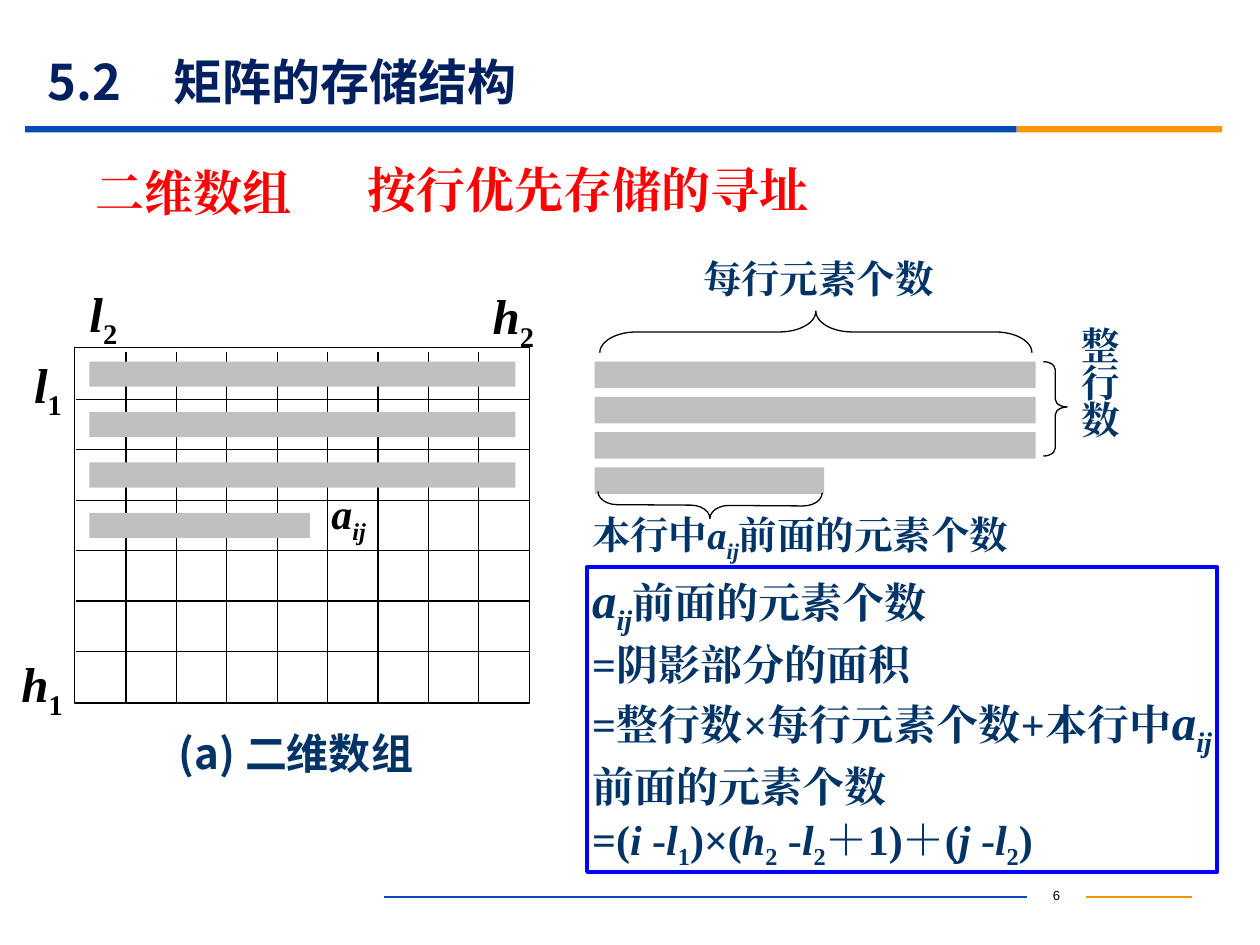
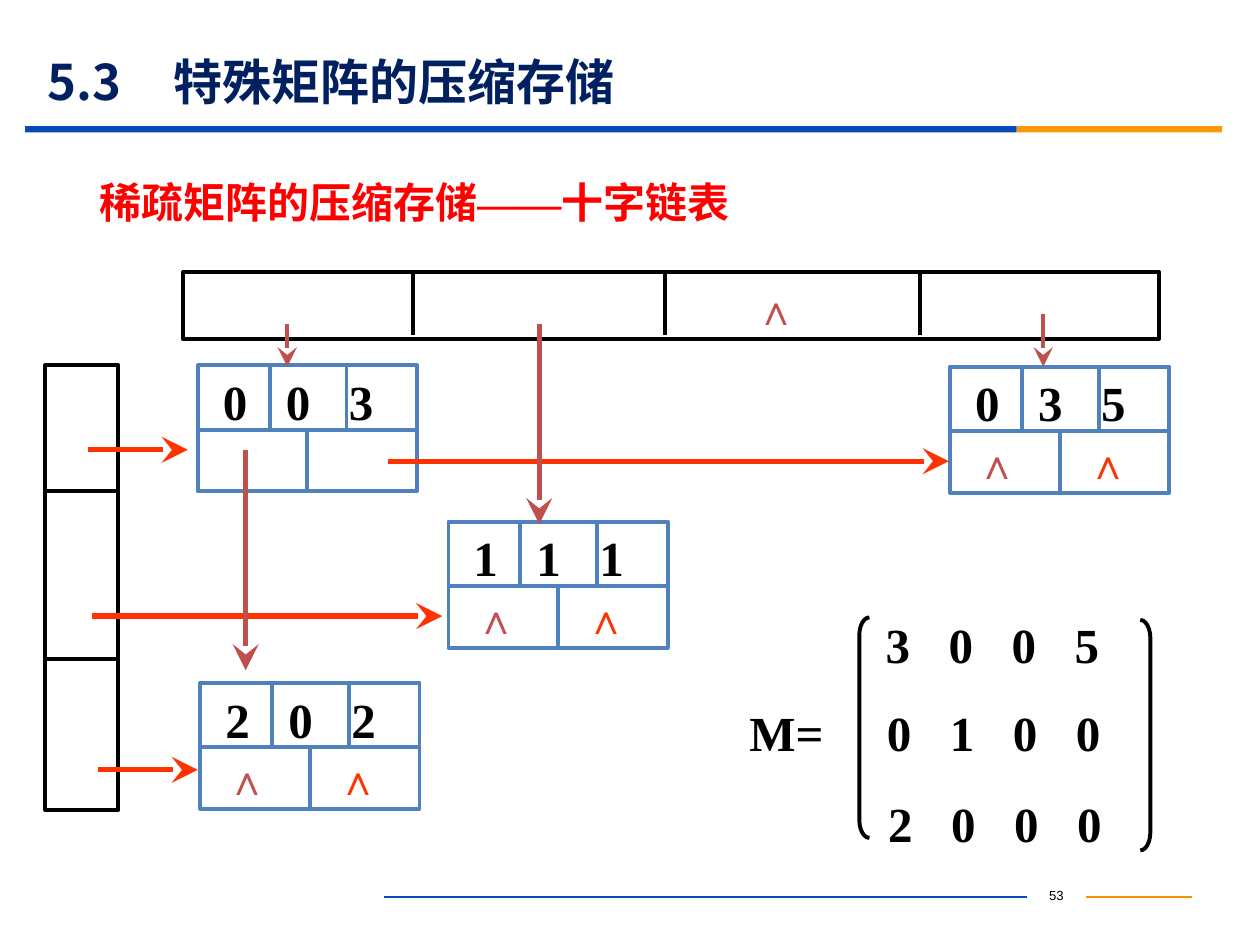
"""Build two slides on array addressing and cross-linked sparse matrices."""
from lxml import etree
from pptx import Presentation
from pptx.dml.color import RGBColor
from pptx.enum.shapes import MSO_CONNECTOR, MSO_SHAPE
from pptx.enum.text import MSO_ANCHOR, MSO_AUTO_SIZE, PP_ALIGN
from pptx.oxml.ns import qn
from pptx.util import Pt

PX = 9144
RECT = MSO_SHAPE.RECTANGLE
LEFT, MID, JUST = PP_ALIGN.LEFT, PP_ALIGN.CENTER, PP_ALIGN.JUSTIFY
LBRACE, RBRACE = MSO_SHAPE.LEFT_BRACE, MSO_SHAPE.RIGHT_BRACE
LBRACK, RBRACK = MSO_SHAPE.LEFT_BRACKET, MSO_SHAPE.RIGHT_BRACKET


class Theme:
    sans, serif = "Noto Sans CJK SC", "Times New Roman"
    small = "Arial"
    black, white, gray = "000000", "FFFFFF", "C0C0C0"
    title, head, body = "002060", "FF0000", "003366"
    band, amber, thin = "064BB2", "FB9708", "F19500"
    frame, cell = "0000FF", "4F81BD"
    row, col = "FF3300", "C0504D"
    big, mid, note, tiny = 28, 24, 22, 7.5
    hair, bold, arrow = 0.75, 2.25, 3


T = Theme

AIJ = [("a", "i"), ("ij", "is")]
BIG = [("a", "iL"), ("ij", "isL")]
REST = [("前面的元素个数", "")]
PROOF = [
    BIG + REST,
    [("=阴影部分的面积", "")],
    [("=整行数×每行元素个数+本行中", "")] + BIG + REST,
    [("=(", ""), ("i", "i"), (" -", ""), ("l", "i"), ("1", "s"),
     (")×(", ""), ("h", "i"), ("2", "s"), (" -", ""), ("l", "i"), ("2", "s"),
     ("＋1)＋(", ""), ("j", "i"), (" -", ""), ("l", "i"), ("2", "s"), (")", "")],
]
BOUNDS = [("l", "2", 71, 225, 25), ("h", "2", 391, 227, 42),
          ("l", "1", 27, 281, 25), ("h", "1", 17, 519, 42)]
BRACES = [
    (RBRACE, (828, 287, 19, 75), (0.33, 0.48), 0, T.hair),
    (LBRACE, (631, 92, 33, 343), (0.88, 0.5), 90, T.hair),
    (LBRACE, (553, 312, 21, 178), (0.72, 0.5), 270.4, T.hair),
]
BRACKS = [
    (LBRACK, (682, 490, 8, 175), (1.75,), 0, T.bold),
    (RBRACK, (905, 492, 8, 183), (1.83,), 0, T.bold),
]
NODES = [(159, 542, "202", True), (157, 290, "003", False),
         (754, 291, "035", True), (356, 414, "111", True)]
MATRIX = [(693, 483, "3005"), (694, 553, "0100"), (695, 625, "2000")]
ARROWS = [
    ((78, 611, 157, 611), T.row, T.arrow),
    ((70, 357, 149, 357), T.row, T.arrow),
    ((308, 366, 753, 366), T.row, T.arrow),
    ((73, 489, 351, 489), T.row, T.arrow),
    ((828, 249, 828, 291), T.col, T.bold),
    ((428, 257, 428, 416), T.col, T.arrow),
    ((228, 257, 228, 291), T.col, T.bold),
    ((195, 357, 195, 532), T.col, T.arrow),
]


def emu(nums):
    return [round(n * PX) for n in nums]


def apply(obj, vals):
    for key, val in vals.items():
        setattr(obj, key, val)


def write(shape, paras, size, color, font=T.serif, ins=(10, 5), align=LEFT,
          gap=None, tabs=(), pad=0, bold=True, anchor=MSO_ANCHOR.TOP):
    frame = shape.text_frame
    side, top = emu(ins)
    apply(frame, dict(word_wrap=True, auto_size=MSO_AUTO_SIZE.NONE,
                      margin_left=side, margin_right=side, margin_top=top,
                      margin_bottom=top, vertical_anchor=anchor))
    if isinstance(paras, str):
        paras = [[(paras, "")]]
    for i, runs in enumerate(paras):
        para = frame.add_paragraph() if i else frame.paragraphs[0]
        apply(para, dict(alignment=align, line_spacing=gap))
        if tabs:
            props = para._p.get_or_add_pPr()
            props.set("marL", str(pad * PX))
            props.set("indent", "0")
            stops = etree.SubElement(props, qn("a:tabLst"))
            for pos in tabs:
                etree.SubElement(stops, qn("a:tab"), pos=str(pos * PX), algn="l")
        for words, flags in runs:
            run = para.add_run()
            run.text = words
            face = T.sans if "C" in flags else font
            apply(run.font, dict(name=face, bold=bold, italic="i" in flags,
                                 size=Pt(T.big if "L" in flags else size)))
            run.font.color.rgb = RGBColor.from_string(color)
            props = run._r.get_or_add_rPr()
            etree.SubElement(props, qn("a:ea"), typeface=face)
            if "s" in flags:
                props.set("baseline", "-25000")


def label(slide, at, paras, size, color, **fmt):
    write(slide.shapes.add_textbox(*emu(at)), paras, size, color, **fmt)


def shape(slide, at, kind=RECT, fill=None, line=None, width=T.hair, adj=(), turn=0):
    item = slide.shapes.add_shape(kind, *emu(at))
    item.shadow.inherit = False
    item.rotation = turn
    for i, val in enumerate(adj):
        item.adjustments[i] = val
    for part, color in ((item.fill, fill), (item.line.fill, line)):
        if color:
            part.solid()
            part.fore_color.rgb = RGBColor.from_string(color)
        else:
            part.background()
    if line:
        item.line.width = Pt(width)
    return item


def rule(slide, ends, color, width, head=False):
    line = slide.shapes.add_connector(MSO_CONNECTOR.STRAIGHT, *emu(ends))
    line.line.color.rgb = RGBColor.from_string(color)
    line.line.width = Pt(width)
    if head:
        etree.SubElement(line.line._get_or_add_ln(), qn("a:tailEnd"),
                         type="stealth", w="lg", len="lg")
    etree.SubElement(line._element.spPr, qn("a:effectLst"))


def curves(slide, items):
    for kind, at, adj, turn, width in items:
        shape(slide, at, kind, line=T.black, width=width, adj=adj, turn=turn)


def start(deck, title, num):
    slide = deck.slides.add_slide(deck.slide_layouts[5])
    label(slide, (815, 699, 47, 25), num, T.tiny, T.black, font=T.small,
          align=MID, bold=False)
    rule(slide, (862, 712, 946, 712), T.thin, T.hair)
    rule(slide, (305, 712, 815, 712), T.band, T.hair)
    shape(slide, (20, 100, 787, 5), fill=T.band)
    shape(slide, (807, 100, 163, 5), fill=T.amber)
    box = slide.shapes.title
    apply(box, dict(zip(("left", "top", "width", "height"), emu((28, 43, 900, 43)))))
    write(box, title, T.big, T.title, font=T.sans, tabs=(85,),
          anchor=MSO_ANCHOR.MIDDLE)
    return slide


def strips(slide, x, y, step, full, part, high):
    for i, wide in enumerate((full, full, full, part)):
        shape(slide, (x, y + i * step, wide, high), fill=T.gray)


def array(deck):
    slide = start(deck, "5.2\t矩阵的存储结构", "6")
    label(slide, (66, 124, 267, 57), "二维数组", T.big, T.head)
    label(slide, (282, 122, 432, 57), "按行优先存储的寻址", T.big, T.head)
    shape(slide, (59, 276, 361, 282), fill=T.white, line=T.black)
    for i in range(6):
        y = 317 + 40 * i
        rule(slide, (60, y, 420, y), T.black, T.hair)
    for i in range(8):
        x = 100 + 40 * i
        rule(slide, (x, 279, x, 557), T.black, T.hair)
    strips(slide, 71, 287, 40, 338, 175, 20)
    flat = dict(ins=(0, 0))
    for name, sub, x, y, wide in BOUNDS:
        label(slide, (x, y, wide, 40), [[(name, "i"), (sub, "s")]],
              T.big, T.black, **flat)
    label(slide, (257, 386, 54, 42), [AIJ], T.mid, T.black, ins=(6, 1))
    label(slide, (142, 577, 227, 65), "(a) 二维数组", T.mid, T.body,
          font=T.sans, **flat)
    write(shape(slide, (466, 450, 500, 242), line=T.frame, width=T.bold),
          PROOF, T.mid, T.body, ins=(4, 0), align=JUST, gap=1.04)
    label(slide, (470, 406, 390, 46), [[("本行中", "")] + AIJ + REST],
          T.note, T.body, **flat)
    strips(slide, 472, 287, 28, 350, 182, 21)
    curves(slide, BRACES)
    label(slide, (558, 202, 251, 38), "每行元素个数", T.note, T.body, **flat)
    label(slide, (858, 263, 38, 110), "整行数", T.note, T.body, gap=0.8, **flat)


def node(slide, x, y, digits, ends):
    box = shape(slide, (x, y, 174, 100), line=T.cell, width=T.bold)
    write(box, "\t".join(digits), T.big, T.black, tabs=(68, 126), pad=10)
    for x1, y1, x2, y2 in ((0, 51, 174, 51), (57, 0, 57, 52),
                           (118, 0, 118, 52), (87, 51, 87, 100)):
        rule(slide, (x + x1, y + y1, x + x2, y + y2), T.cell, T.bold)
    if ends:
        for dx, color in ((21, T.col), (109, T.row)):
            label(slide, (x + dx, y + 56, 41, 40), "∧", T.mid, color, ins=(0, 0))


def sparse(deck):
    slide = start(deck, "5.3\t特殊矩阵的压缩存储", "53")
    label(slide, (69, 135, 840, 50),
          [[("稀疏矩阵的压缩存储", "C"), ("——", ""), ("十字链表", "C")]],
          T.mid, T.head)
    for at in ((145, 216, 775, 53), (36, 290, 58, 353)):
        shape(slide, at, line=T.black, width=T.bold)
    for x in (328, 528, 730):
        rule(slide, (x, 216, x, 266), T.black, T.bold)
    for y in (390, 523):
        rule(slide, (36, y, 95, y), T.black, T.bold)
    label(slide, (590, 220, 60, 50), "∧", T.mid, T.col)
    for item in NODES:
        node(slide, *item)
    label(slide, (585, 553, 90, 57), "M=", T.big, T.black)
    for x, y, digits in MATRIX:
        label(slide, (x, y, 280, 57), "\t".join(digits), T.big, T.black,
              tabs=(58, 117, 165))
    curves(slide, BRACKS)
    for ends, color, width in ARROWS:
        rule(slide, ends, color, width, head=True)


def main():
    deck = Presentation()
    deck.slide_width, deck.slide_height = emu((1000, 750))
    array(deck)
    sparse(deck)
    deck.save("out.pptx")


if __name__ == "__main__":
    main()
